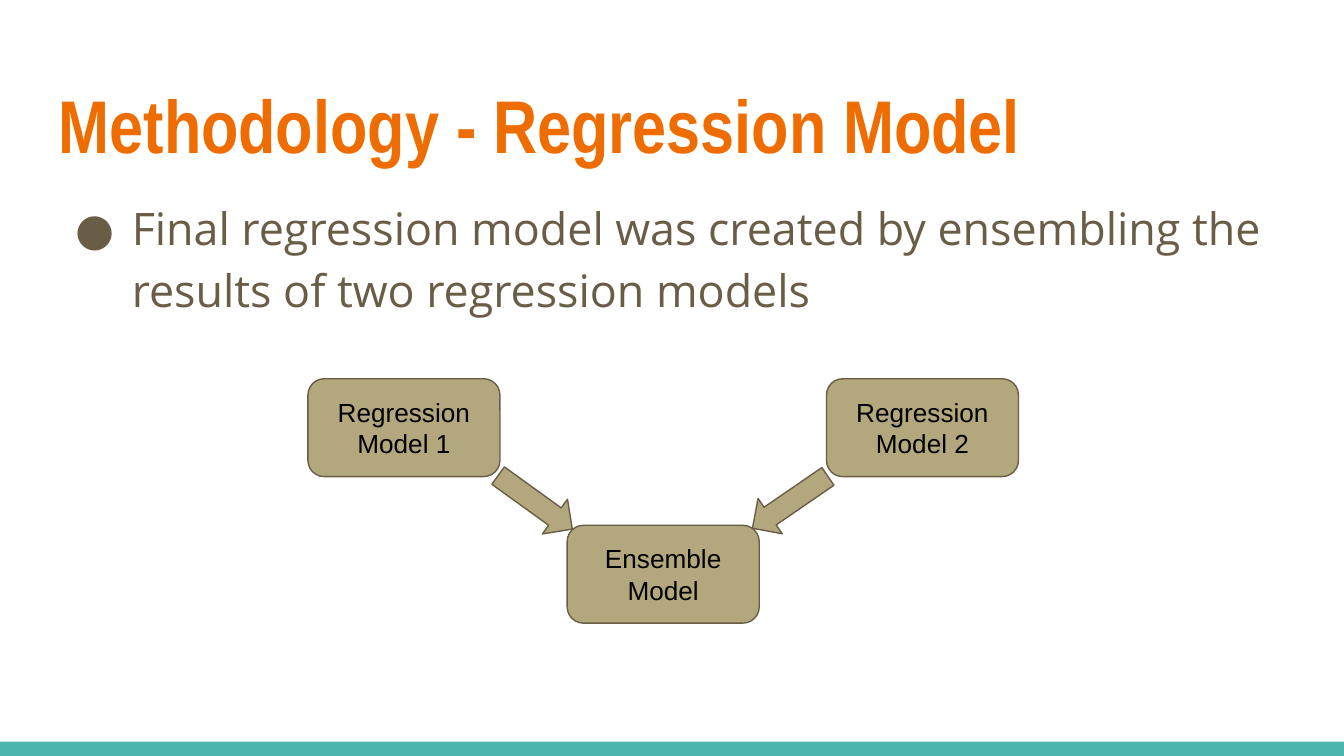
from dataclasses import dataclass

from lxml.etree import SubElement
from pptx import Presentation
from pptx.dml.color import RGBColor
from pptx.enum.shapes import MSO_SHAPE
from pptx.enum.text import MSO_ANCHOR, MSO_AUTO_SIZE, PP_ALIGN
from pptx.oxml.ns import qn
from pptx.util import Cm, Pt


@dataclass(frozen=True)
class Theme:
    background: str = "FFFFFF"
    band: str = "4DB6AC"
    title: str = "EF6C00"
    body: str = "695D46"
    node: str = "B3A77D"
    label: str = "000000"
    title_font: str = "Arial Narrow"
    body_font: str = "Open Sans"
    label_font: str = "Arial"
    title_size: int = 40
    body_size: int = 24
    label_size: int = 14
    line_width: float = 0.75


def write_text(sp, text, *, font, size, color, bold=False,
               align=PP_ALIGN.LEFT, anchor=MSO_ANCHOR.TOP, spacing=1.0):
    """Fill a shape with one formatted paragraph and return it."""
    tf = sp.text_frame
    tf.word_wrap = True
    tf.auto_size = MSO_AUTO_SIZE.NONE
    tf.vertical_anchor = anchor
    tf.margin_left = tf.margin_right = tf.margin_top = tf.margin_bottom = Cm(0.25)
    p = tf.paragraphs[0]
    p.alignment, p.line_spacing = align, spacing
    p.space_before = p.space_after = Pt(0)
    r = p.add_run()
    r.text = text
    r.font.name, r.font.size, r.font.bold = font, Pt(size), bold
    r.font.color.rgb = RGBColor.from_string(color)
    return p


class SlideBuilder:
    def __init__(self, slide, theme):
        self.s = slide
        self.theme = theme
        fill = slide.background.fill
        fill.solid()
        fill.fore_color.rgb = RGBColor.from_string(theme.background)

    def place(self, sp, left, top, width, height):
        sp.left, sp.top = Cm(left), Cm(top)
        sp.width, sp.height = Cm(width), Cm(height)

    def shape(self, kind, left, top, width, height, fill, line=None):
        sp = self.s.shapes.add_shape(kind, Cm(left), Cm(top), Cm(width), Cm(height))
        sp.shadow.inherit = False
        sp.fill.solid()
        sp.fill.fore_color.rgb = RGBColor.from_string(fill)
        if line:
            sp.line.color.rgb = RGBColor.from_string(line)
            sp.line.width = Pt(self.theme.line_width)
        else:
            sp.line.fill.background()
        return sp

    def title(self, text, *box):
        t = self.theme
        sp = self.s.shapes.title
        self.place(sp, *box)
        write_text(sp, text, font=t.title_font, size=t.title_size,
                   color=t.title, bold=True)

    def bullet(self, text, *box):
        t = self.theme
        sp = self.s.placeholders[1]
        self.place(sp, *box)
        p = write_text(sp, text, font=t.body_font, size=t.body_size,
                       color=t.body, spacing=1.15)
        pPr = p._p.get_or_add_pPr()
        pPr.set("marL", str(Cm(1.27)))
        pPr.set("indent", str(-Cm(1.07)))
        color = SubElement(pPr, qn("a:buClr"))
        SubElement(color, qn("a:srgbClr"), val=t.body)
        SubElement(pPr, qn("a:buFont"), typeface=t.body_font)
        SubElement(pPr, qn("a:buChar"), char="●")

    def node(self, text, left, top):
        t = self.theme
        sp = self.shape(MSO_SHAPE.ROUNDED_RECTANGLE, left, top, 3.63, 1.85,
                        t.node, t.body)
        write_text(sp, text, font=t.label_font, size=t.label_size, color=t.label,
                   align=PP_ALIGN.CENTER, anchor=MSO_ANCHOR.MIDDLE)

    def arrow(self, left, top, rotation):
        sp = self.shape(MSO_SHAPE.LEFT_ARROW, left, top, 1.73, 0.81,
                        self.theme.node, self.theme.body)
        sp.rotation = rotation


def main():
    prs = Presentation()
    prs.slide_width, prs.slide_height = Cm(25.4), Cm(14.29)
    theme = Theme()
    s = SlideBuilder(prs.slides.add_slide(prs.slide_layouts[1]), theme)

    # Bottom band
    s.shape(MSO_SHAPE.RECTANGLE, 0, 14.02, 25.4, 0.27, theme.band)

    # Title and list
    s.title("Methodology - Regression Model", 0.86, 1.24, 23.67, 1.96)
    s.bullet("Final regression model was created by ensembling the results "
             "of two regression models", 0.97, 3.4, 23.67, 9.17)

    # Two models above, the ensemble halfway between them below
    left, step, upper, lower = 5.82, 4.9, 7.16, 9.93
    s.node("Regression Model 1", left, upper)
    s.node("Regression Model 2", left + 2 * step, upper)
    s.node("Ensemble Model", left + step, lower)

    # Arrows into the ensemble
    for x, rotation in ((9.25, 215.8), (14.07, 325.5)):
        s.arrow(x, 9.09, rotation)

    prs.save("out.pptx")


if __name__ == "__main__":
    main()
